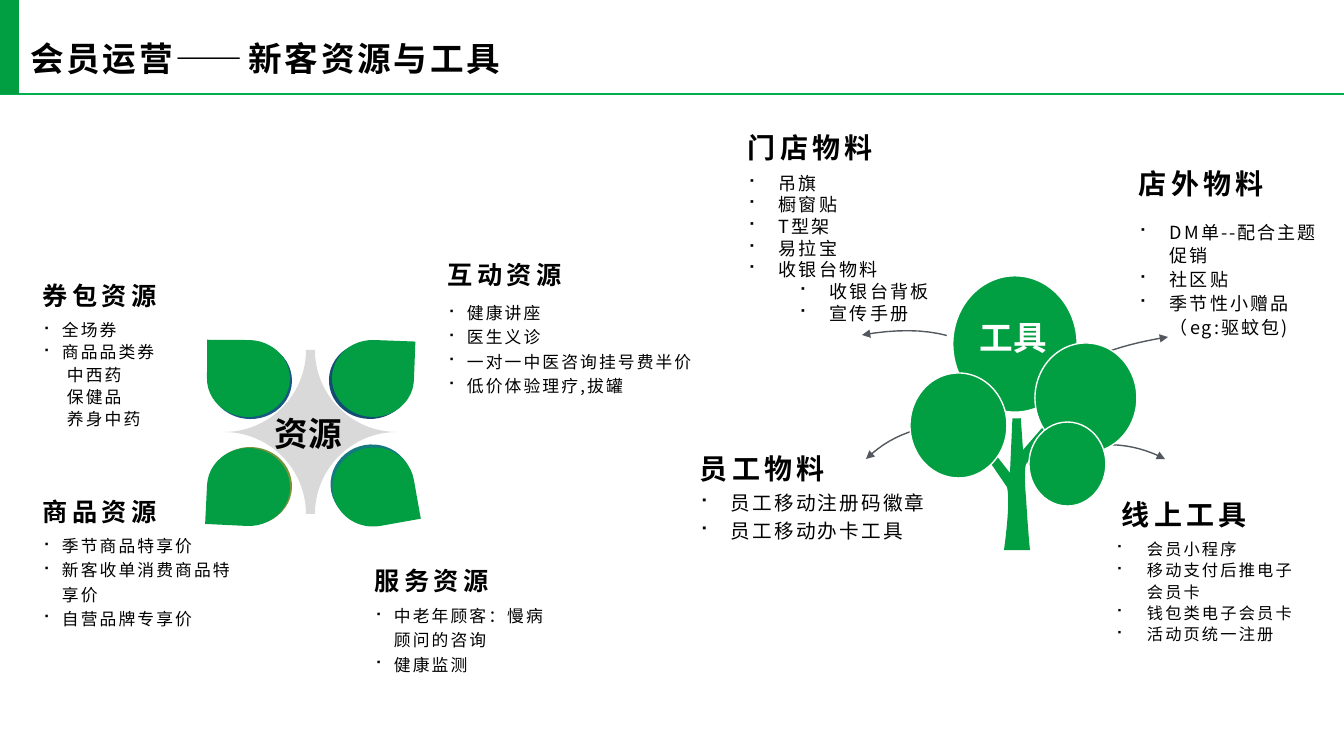
from lxml.etree import SubElement
from pptx import Presentation
from pptx.dml.color import RGBColor
from pptx.enum.shapes import MSO_CONNECTOR, MSO_SHAPE as Preset
from pptx.enum.text import MSO_ANCHOR as Anchor, MSO_AUTO_SIZE, PP_ALIGN
from pptx.oxml.ns import qn
from pptx.util import Pt

PX = 914400 / 100.8
THEME = {
    "font": "Noto Sans CJK SC",
    "green": "029E42", "leaf": "039D43", "rule": "00B050", "star": "D9D9D9",
    "arrow": "53585F", "white": "FFFFFF", "black": "000000",
    "title": 24, "tool_heading": 20, "resource_heading": 18,
    "large": 14, "medium": 12.9, "body": 12, "small": 11.6,
}


def px(*lengths):
    return [round(length * PX) for length in lengths]


def write(box, lines, size, color="black", bold=False, tracking=0, spacing=1.0,
          insets=(10, 5, 10, 5), anchor=Anchor.TOP):
    """Fill a box with (text, left margin, first-line indent, level) lines; a negative indent hangs a bullet."""
    frame = box.text_frame
    sides = ("margin_left", "margin_top", "margin_right", "margin_bottom")
    layout = dict(zip(sides, px(*insets)), word_wrap=True,
                  auto_size=MSO_AUTO_SIZE.NONE, vertical_anchor=anchor)
    for name, value in layout.items():
        setattr(frame, name, value)
    for number, (text, margin, indent, level) in enumerate(lines):
        para = frame.add_paragraph() if number else frame.paragraphs[0]
        para.alignment, para.line_spacing, para.level = PP_ALIGN.LEFT, spacing, level
        props = para._p.get_or_add_pPr()
        for name, value in zip(("marL", "indent"), px(margin, indent)):
            props.set(name, str(value))
        if indent < 0:
            SubElement(props, qn("a:buFont"), typeface="Wingdings")
            SubElement(props, qn("a:buChar"), char="■")
        span = para.add_run()
        span.text = text
        for name, value in {"name": THEME["font"], "size": Pt(THEME[size]), "bold": bold}.items():
            setattr(span.font, name, value)
        span.font.color.rgb = RGBColor.from_string(THEME[color])
        span_props = span._r.get_or_add_rPr()
        span_props.set("spc", str(round(tracking * 100)))
        SubElement(span_props, qn("a:ea"), typeface=THEME["font"])


deck = Presentation()
deck.slide_width, deck.slide_height = px(1344, 756)
page = deck.slides.add_slide(deck.slide_layouts[5])
shapes = page.shapes

# Header
title = shapes.title
title.left, title.top, title.width, title.height = px(19, 22, 593, 72)
write(title, [("会员运营——新客资源与工具", 0, 0, 0)], "title", bold=True, tracking=2,
      insets=(11, 4, 8, 4), anchor=Anchor.MIDDLE)
rule = shapes.add_connector(MSO_CONNECTOR.STRAIGHT, *px(0, 94, 1344, 94))
rule.line.color.rgb = RGBColor.from_string(THEME["rule"])
rule.line.width = Pt(1)
SubElement(rule._element.spPr, qn("a:effectLst"))

# Tree arrows and trunk: each step is a point, or three points of a Bézier curve
outlines = [
    ((866, 459), [((895, 431), (931, 421), (975, 428))]),
    ((862, 335), [((929, 323), (977, 336), (1004, 374))]),
    ((1165, 459), [((1131, 441), (1094, 440), (1051, 456))]),
    ((1168, 337), [((1112, 346), (1077, 361), (1062, 382))]),
    ((1004, 550), [((1004, 550), (1011, 502), (1007, 487)),
                   (977, 443), (982, 437), (1010, 473), (1013, 406), (1020, 406),
                   (1023, 450), (1048, 421), (1053, 428), (1027, 463),
                   ((1027, 463), (1023, 463), (1026, 497)),
                   ((1028, 531), (1030, 550), (1030, 550))]),
]
STEPS = 16
for start, steps in outlines:
    is_trunk = len(steps) > 1
    points = [start]
    for step in steps:
        if not isinstance(step[0], tuple):
            points.append(step)
            continue
        controls = (points[-1], *step)
        for part in range(1, STEPS + 1):
            t = part / STEPS
            weights = ((1 - t) ** 3, 3 * t * (1 - t) ** 2, 3 * t * t * (1 - t), t ** 3)
            points.append(tuple(sum(w * c[axis] for w, c in zip(weights, controls))
                                for axis in (0, 1)))
    builder = shapes.build_freeform(*px(*points[0]), scale=1.0)
    builder.add_line_segments([px(*point) for point in points[1:]], close=is_trunk)
    outline = builder.convert_to_shape()
    outline.shadow.inherit = False
    if is_trunk:
        outline.fill.solid()
        outline.fill.fore_color.rgb = RGBColor.from_string(THEME["green"])
        outline.line.fill.background()
    else:
        outline.fill.background()
        outline.line.color.rgb = RGBColor.from_string(THEME["arrow"])
        outline.line.width = Pt(1)
        line_props = outline.line._get_or_add_ln()
        SubElement(line_props, qn("a:headEnd"), type="triangle")
        SubElement(line_props, qn("a:tailEnd"), type="oval")

# Preset shapes: kind, box, rotation, fill, white outline width
presets = [
    (Preset.RECTANGLE, (0, -1, 19, 95), 0, THEME["green"], 0),
    (Preset.PLAQUE, (224, 350, 173, 164), 0, THEME["star"], 0),
]
petals = [  # back corner, front corner, size, rotation, back fill, front fill
    ((212, 339), (210, 337), (77, 83), 270.4, "175782", "green"),
    ((329, 342), (332, 340), (82, 77), 2.2, "144D73", "leaf"),
    ((209, 447), (207, 448), (83, 78), 182.8, "77933C", "leaf"),
    ((332, 443), (334, 446), (79, 82), 79.9, "147A7F", "green"),
]
for back, front, size, turn, edge, fill in petals:
    presets.append((Preset.TEAR, back + size, turn, edge, 0))
    presets.append((Preset.TEAR, front + size, turn, THEME[fill], 0))
crowns = [((950, 273, 130, 142), 5), ((1035, 343, 102, 110), 1),
          ((910, 373, 97, 105), 1), ((1029, 422, 77, 84), 1)]
presets += [(Preset.OVAL, crown, 0, THEME["green"], width) for crown, width in crowns]

for kind, place, turn, fill, width in presets:
    shape = shapes.add_shape(kind, *px(*place))
    shape.shadow.inherit = False
    shape.rotation = turn
    shape.fill.solid()
    shape.fill.fore_color.rgb = RGBColor.from_string(fill)
    if kind == Preset.PLAQUE:
        shape.adjustments[0] = 0.5
    if width:
        shape.line.color.rgb = RGBColor.from_string(THEME["white"])
        shape.line.width = Pt(width)
    else:
        shape.line.fill.background()

# Text blocks: heading, its box and size, body box, size, spacing and indent, items
blocks = [
    ("券包资源", (33, 264, 157, 47), "resource_heading", (33, 318, 157, 120), "body", 1.1, 19,
     ["全场券", "商品品类券", ("中西药", 24, 0, 0), ("保健品", 24, 0, 0), ("养身中药", 24, 0, 0)]),
    ("互动资源", (438, 238, 250, 52), "resource_heading", (438, 299, 272, 134), "body", 1.2, 19,
     ["健康讲座", "医生义诊", "一对一中医咨询挂号费半价", "低价体验理疗,拔罐"]),
    ("商品资源", (33, 473, 219, 54), "resource_heading", (33, 532, 219, 107), "body", 1.2, 19,
     ["季节商品特享价", "新客收单消费商品特享价", "自营品牌专享价"]),
    ("服务资源", (365, 533, 198, 63), "resource_heading", (365, 602, 198, 100), "body", 1.2, 19,
     ["中老年顾客：慢病顾问的咨询", "健康监测"]),
    ("门店物料", (738, 120, 238, 44), "tool_heading", (738, 172, 238, 165), "medium", 1.0, 31,
     ["吊旗", "橱窗贴", "T型架", "易拉宝", "收银台物料",
      ("收银台背板", 82, -31, 1), ("宣传手册", 82, -31, 1)]),
    ("员工物料", (690, 428, 308, 57), "tool_heading", (690, 486, 308, 95), "large", 1.2, 31,
     ["员工移动注册码徽章", "员工移动办卡工具"]),
    ("店外物料", (1129, 151, 207, 49), "tool_heading", (1129, 219, 207, 130), "medium", 1.1, 31,
     ["DM单--配合主题促销", "社区贴", "季节性小赠品（eg:驱蚊包)"]),
    ("线上工具", (1112, 466, 214, 65), "tool_heading", (1106, 537, 214, 131), "small", 1.1, 31,
     ["会员小程序", "移动支付后推电子会员卡", "钱包类电子会员卡", "活动页统一注册"]),
]
for heading, head_place, head_size, body_place, body_size, spacing, indent, items in blocks:
    write(shapes.add_textbox(*px(*head_place)), [(heading, 0, 0, 0)], head_size, bold=True,
          tracking=3, spacing=1.2, insets=(10, 5, 10, 0), anchor=Anchor.BOTTOM)
    lines = [(item, indent, -indent, 0) if isinstance(item, str) else item for item in items]
    write(shapes.add_textbox(*px(*body_place)), lines, body_size, tracking=1.5,
          spacing=spacing, insets=(10, 0, 10, 5))

# Centre labels
for label, place, color in [("工具", (970, 312, 92, 50), "white"),
                            ("资源", (265, 408, 107, 50), "black")]:
    write(shapes.add_textbox(*px(*place)), [(label, 0, 0, 0)], "title", color, bold=True)

deck.save("out.pptx")
